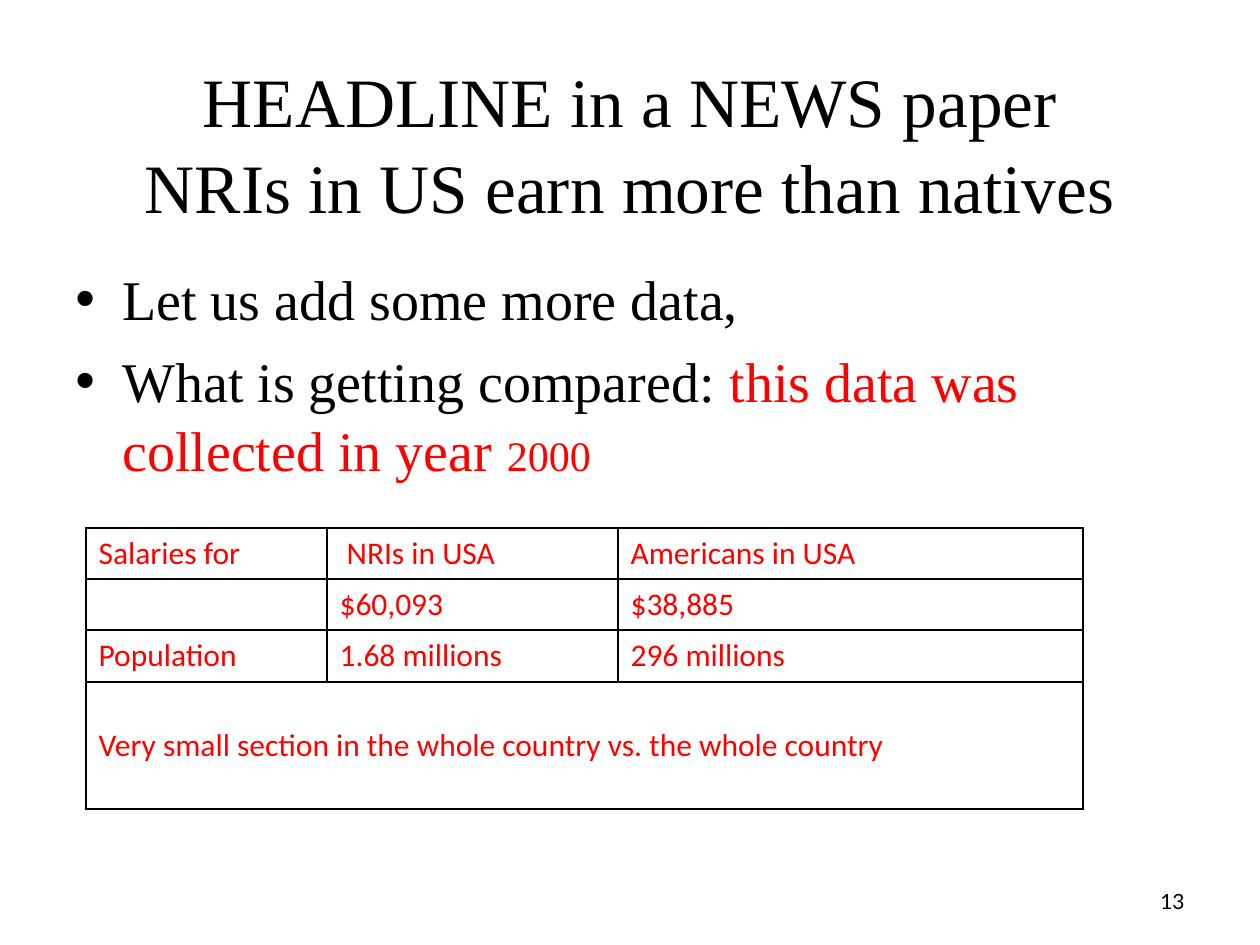
"""Build the slide on salaries of NRIs and natives in the US."""
from lxml import etree
from pptx import Presentation
from pptx.dml.color import RGBColor
from pptx.enum.text import MSO_ANCHOR, PP_ALIGN
from pptx.oxml.ns import qn
from pptx.util import Emu, Pt

LEFT, CENTER, RIGHT = PP_ALIGN.LEFT, PP_ALIGN.CENTER, PP_ALIGN.RIGHT
TOP, MIDDLE = MSO_ANCHOR.TOP, MSO_ANCHOR.MIDDLE
EMU_PER_PX = 914400 / 126
THEME = {
    "black": RGBColor(0, 0, 0),
    "red": RGBColor(255, 0, 0),
    "white": RGBColor(255, 255, 255),
    "serif": "Times New Roman",
    "table_font": "Calibri",
    "number_font": "Lato",
    "title": Pt(39.6),
    "body": Pt(32),
    "year": Pt(24),
    "table": Pt(18),
    "number": Pt(12),
    "line_spacing": 1.04,
}


def px(length):
    return Emu(round(length * EMU_PER_PX))


def add_run(paragraph, text, font, size, color):
    run = paragraph.add_run()
    run.text = text
    for name, value in {"name": THEME[font], "size": THEME[size]}.items():
        setattr(run.font, name, value)
    run.font.color.rgb = THEME[color]


presentation = Presentation()
presentation.slide_width, presentation.slide_height = px(1260), px(945)
slide = presentation.slides.add_slide(presentation.slide_layouts[6])

TITLE = [
    [("HEADLINE in a NEWS paper", "serif", "title", "black")],
    [("NRIs in US earn more than natives", "serif", "title", "black")],
]
BODY = [
    [("Let us add some more data,", "serif", "body", "black")],
    [
        ("What is getting compared:", "serif", "body", "black"),
        (" this data was collected in year ", "serif", "body", "red"),
        ("2000", "serif", "year", "red"),
    ],
]
NUMBER = [[("13", "number_font", "number", "black")]]
spaced = {"line_spacing": THEME["line_spacing"]}
TEXT_BOXES = [
    ((903, 876, 294, 50), MIDDLE, NUMBER, {"alignment": RIGHT}, False),
    ((63, 62, 1134, 158), MIDDLE, TITLE, {"alignment": CENTER, **spaced}, False),
    ((63, 256, 1134, 257), TOP, BODY,
     {"alignment": LEFT, "space_before": Pt(6.4), **spaced}, True),
]

for box, anchor, paragraphs, paragraph_format, bulleted in TEXT_BOXES:
    frame = slide.shapes.add_textbox(*map(px, box)).text_frame
    frame.word_wrap = True
    frame.vertical_anchor = anchor
    for index, runs in enumerate(paragraphs):
        paragraph = frame.add_paragraph() if index else frame.paragraphs[0]
        for name, value in paragraph_format.items():
            setattr(paragraph, name, value)
        for run in runs:
            add_run(paragraph, *run)
        if bulleted:
            properties = paragraph._p.get_or_add_pPr()
            properties.set("marL", str(px(47)))
            properties.set("indent", str(px(-47)))
            etree.SubElement(properties, qn("a:buFont"), typeface="Arial")
            etree.SubElement(properties, qn("a:buChar"), char="•")

ROWS = [
    ["Salaries for", " NRIs in USA", "Americans in USA"],
    ["", "$60,093", "$38,885"],
    ["Population", "1.68 millions", "296 millions"],
    ["Very small section in the whole country vs. the whole country", "", ""],
]
COLUMN_WIDTHS = [241, 291, 465]
ROW_HEIGHTS = [51, 51, 52, 127]
table = slide.shapes.add_table(
    len(ROWS), len(COLUMN_WIDTHS), px(86), px(528),
    px(sum(COLUMN_WIDTHS)), px(sum(ROW_HEIGHTS))).table
for column, width in zip(table.columns, COLUMN_WIDTHS):
    column.width = px(width)
for row, height in zip(table.rows, ROW_HEIGHTS):
    row.height = px(height)
table.cell(3, 0).merge(table.cell(3, 2))

for row_index, texts in enumerate(ROWS):
    for column_index, text in enumerate(texts):
        cell = table.cell(row_index, column_index)
        cell.vertical_anchor = MIDDLE
        if text:
            add_run(cell.text_frame.paragraphs[0], text, "table_font", "table", "red")
        properties = cell._tc.get_or_add_tcPr()
        for side in ("a:lnL", "a:lnR", "a:lnT", "a:lnB"):
            border = etree.SubElement(properties, qn(side), w=str(Pt(1)))
            fill = etree.SubElement(border, qn("a:solidFill"))
            etree.SubElement(fill, qn("a:srgbClr"), val=str(THEME["black"]))
        cell.fill.solid()
        cell.fill.fore_color.rgb = THEME["white"]

presentation.save("out.pptx")
